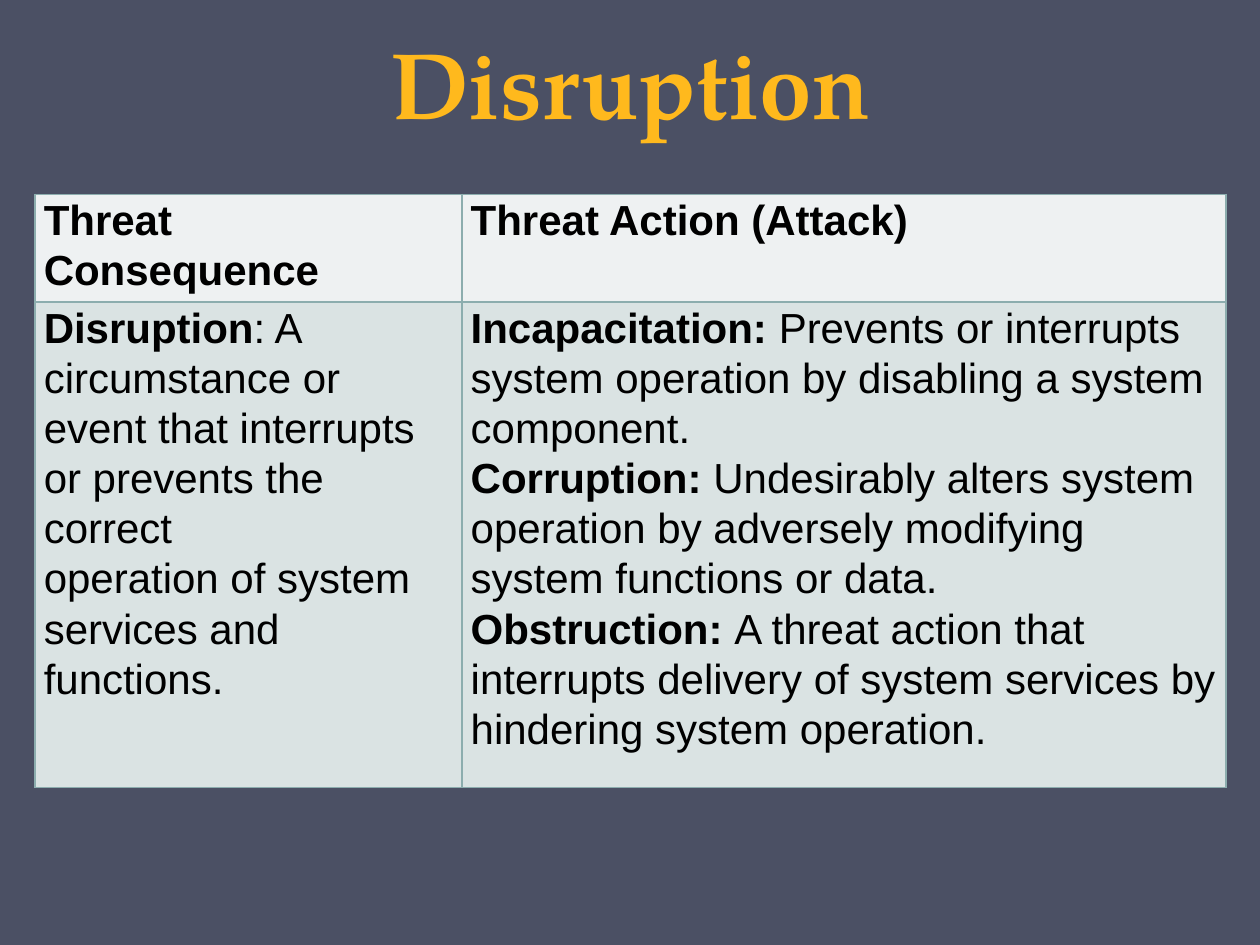
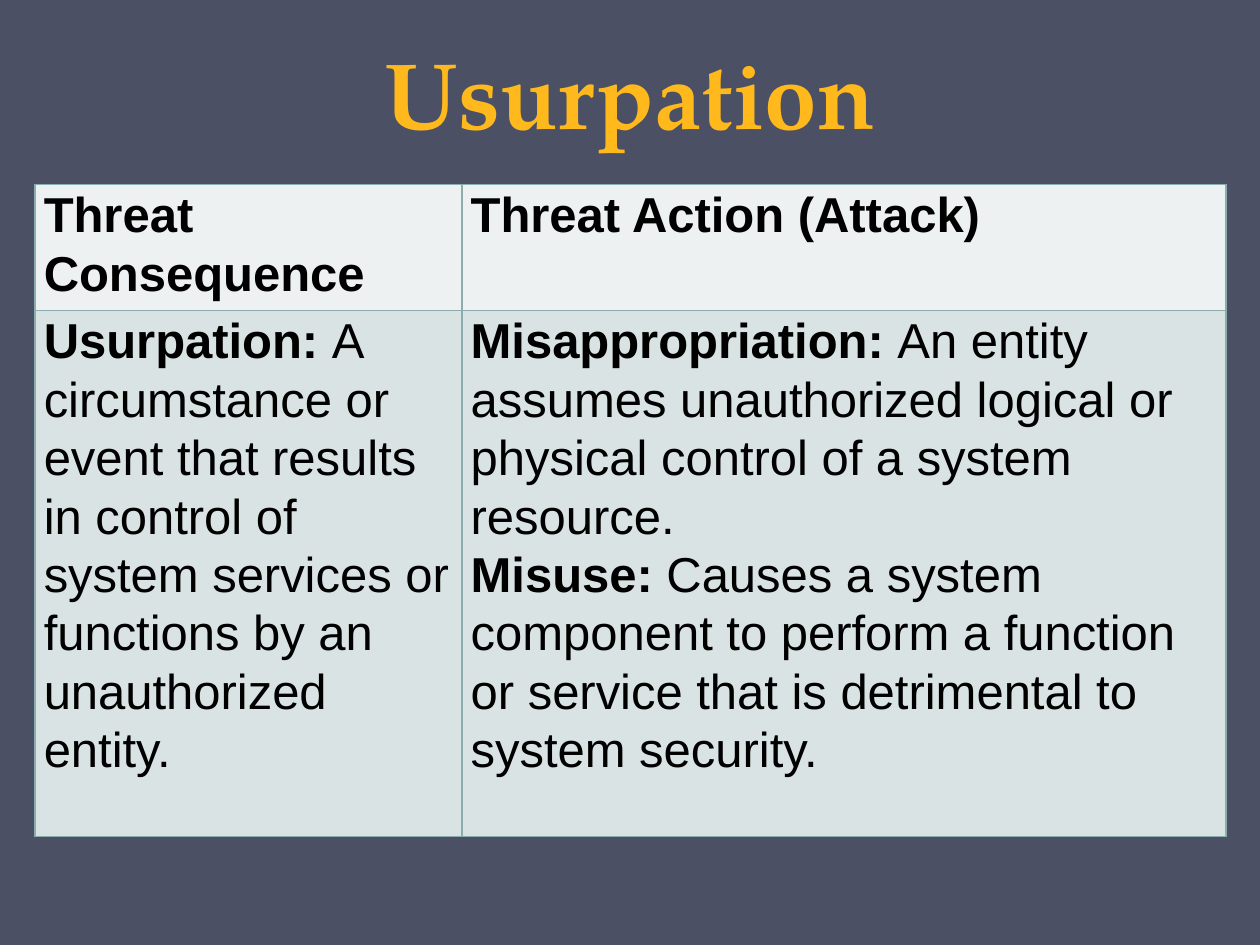
from dataclasses import dataclass

from lxml import etree
from pptx import Presentation
from pptx.dml.color import RGBColor
from pptx.enum.text import MSO_ANCHOR, PP_ALIGN
from pptx.oxml.ns import qn
from pptx.util import Pt

CENTER = PP_ALIGN.CENTER
BOTTOM = MSO_ANCHOR.BOTTOM
TOP = MSO_ANCHOR.TOP

# Shared look
BACKGROUND = "4B5064"
TITLE_COLOR = "FFB91D"
TEXT_COLOR = "000000"
HEADER_FILL = "EEF1F2"
BODY_FILL = "DAE3E3"
BORDER = "8CADAE"
TITLE_FONT = "TeX Gyre Pagella"
BODY_FONT = "Arial"
TABLE_LEFT = 20
COLUMN_WIDTHS = (244, 436.5)
HEADINGS = ("Threat Consequence", "Threat Action (Attack)")

Entry = tuple[str, str]  # bold term, plain explanation


@dataclass
class ThreatSlide:
    title: str
    title_height: float
    table_top: float
    row_heights: tuple[float, float]
    text_size: float
    consequence: list[Entry]
    actions: list[Entry]


THREATS = [
    ThreatSlide(
        "Disruption", 82.5, 111, (57, 269), 24,
        [("Disruption", ": A circumstance or event that interrupts or prevents the correct"),
         ("", "operation of system services and functions.")],
        [("Incapacitation: ", "Prevents or interrupts system operation by disabling "
                              "a system component."),
         ("Corruption: ", "Undesirably alters system operation by adversely modifying "
                          "system functions or data."),
         ("Obstruction: ", "A threat action that interrupts delivery of system services "
                           "by hindering system operation.")]),
    ThreatSlide(
        "Usurpation", 88.5, 105.5, (66.5, 300.5), 28,
        [("Usurpation: ", "A circumstance or event that results in control of system "
                          "services or functions by an unauthorized entity.")],
        [("Misappropriation: ", "An entity assumes unauthorized logical or physical "
                                "control of a system resource."),
         ("Misuse: ", "Causes a system component to perform a function or service "
                      "that is detrimental to system security.")]),
]


def rgb(color: str) -> RGBColor:
    return RGBColor.from_string(color)


def style_font(font, name: str, size: float, color: str) -> None:
    font.name = name
    font.size = Pt(size)
    font.color.rgb = rgb(color)


def add_title(s, text: str, height: float) -> None:
    tf = s.shapes.add_textbox(Pt(36), Pt(0), Pt(648), Pt(height)).text_frame
    tf.word_wrap = True
    tf.vertical_anchor = BOTTOM
    p = tf.paragraphs[0]
    p.text = text
    p.alignment = CENTER
    p.line_spacing = Pt(58)
    style_font(p.font, TITLE_FONT, 54, TITLE_COLOR)
    p.font.bold = True


def add_borders(cell) -> None:
    tc_pr = cell._tc.get_or_add_tcPr()
    for side in ("lnL", "lnR", "lnT", "lnB"):
        line = etree.SubElement(tc_pr, qn(f"a:{side}"), w=str(Pt(1)))
        fill = etree.SubElement(line, qn("a:solidFill"))
        etree.SubElement(fill, qn("a:srgbClr"), val=BORDER)


def fill_cell(cell, entries: list[Entry], size: float, color: str) -> None:
    add_borders(cell)
    cell.fill.solid()
    cell.fill.fore_color.rgb = rgb(color)
    cell.margin_left = cell.margin_right = Pt(5)
    cell.margin_top = cell.margin_bottom = Pt(0)
    cell.vertical_anchor = TOP
    tf = cell.text_frame
    for i, entry in enumerate(entries):
        p = tf.add_paragraph() if i else tf.paragraphs[0]
        p.line_spacing = 1.07
        style_font(p.font, BODY_FONT, size, TEXT_COLOR)
        for text, bold in zip(entry, (True, False)):
            if text:
                r = p.add_run()
                r.text = text
                r.font.bold = bold


def add_threat_table(s, threat: ThreatSlide) -> None:
    table = s.shapes.add_table(
        2, 2, Pt(TABLE_LEFT), Pt(threat.table_top),
        Pt(sum(COLUMN_WIDTHS)), Pt(sum(threat.row_heights))).table
    for column, width in zip(table.columns, COLUMN_WIDTHS):
        column.width = Pt(width)
    for row, height in zip(table.rows, threat.row_heights):
        row.height = Pt(height)
    bodies = (threat.consequence, threat.actions)
    for col, (heading, body) in enumerate(zip(HEADINGS, bodies)):
        fill_cell(table.cell(0, col), [(heading, "")], threat.text_size, HEADER_FILL)
        fill_cell(table.cell(1, col), body, threat.text_size, BODY_FILL)


def main() -> None:
    prs = Presentation()
    prs.slide_width, prs.slide_height = Pt(720), Pt(540)
    for threat in THREATS:
        s = prs.slides.add_slide(prs.slide_layouts[6])
        s.background.fill.solid()
        s.background.fill.fore_color.rgb = rgb(BACKGROUND)
        add_title(s, threat.title, threat.title_height)
        add_threat_table(s, threat)
    prs.save("out.pptx")


if __name__ == "__main__":
    main()
